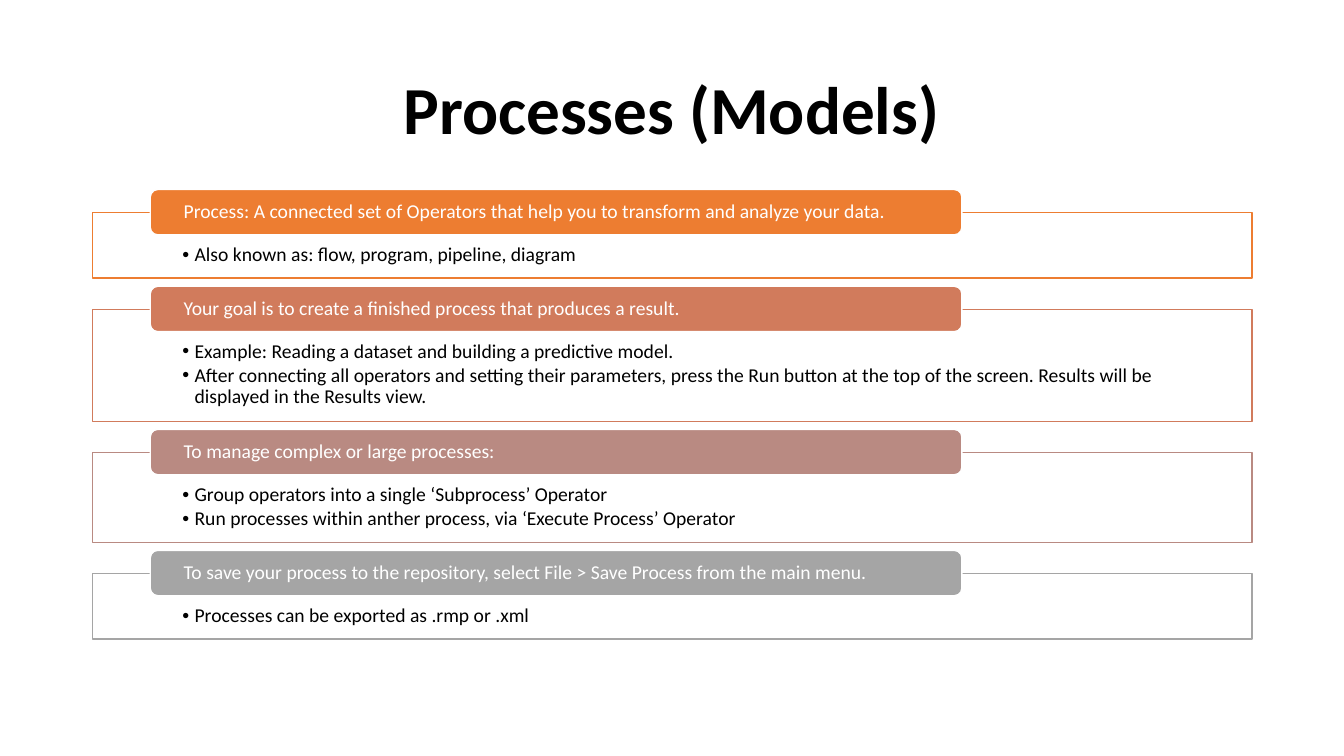
from lxml import etree
from pptx import Presentation
from pptx.dml.color import RGBColor
from pptx.enum.shapes import MSO_SHAPE as Shape
from pptx.enum.text import MSO_ANCHOR as Anchor, MSO_AUTO_SIZE as AutoSize, PP_ALIGN as Align
from pptx.oxml.ns import qn
from pptx.util import Pt

PX = 9144  # one hundredth of an inch
FONT = "Calibri"
COLORS = {
    "black": "000000",
    "white": "FFFFFF",
    "orange": "ED7D31",
    "terracotta": "D17B5C",
    "rose": "B98A82",
    "gray": "A5A5A5",
}

# Accent, heading, bullets, frame height
SECTIONS = [
    ("orange",
     "Process: A connected set of Operators that help you to transform and analyze your data.",
     ["Also known as: flow, program, pipeline, diagram"], 65),
    ("terracotta",
     "Your goal is to create a finished process that produces a result.",
     ["Example: Reading a dataset and building a predictive model.",
      "After connecting all operators and setting their parameters, press the Run button "
      "at the top of the screen. Results will be displayed in the Results view."], 111),
    ("rose",
     "To manage complex or large processes:",
     ["Group operators into a single ‘Subprocess’ Operator",
      "Run processes within anther process, via ‘Execute Process’ Operator"], 89),
    ("gray",
     "To save your process to the repository, select File > Save Process from the main menu.",
     ["Processes can be exported as .rmp or .xml"], 65),
]
FRAME_GAP = 31


def color(name):
    return RGBColor.from_string(COLORS[name])


def place(shape, left, top, width, height):
    shape.left, shape.top = left * PX, top * PX
    shape.width, shape.height = width * PX, height * PX


def write(shape, lines, size=14, ink="black", bold=False, align=Align.LEFT,
          anchor=Anchor.MIDDLE, insets=(10, 5, 10, 5), bullet=False):
    frame = shape.text_frame
    frame.word_wrap = True
    frame.auto_size = AutoSize.NONE
    frame.vertical_anchor = anchor
    (frame.margin_left, frame.margin_top,
     frame.margin_right, frame.margin_bottom) = [inset * PX for inset in insets]
    for index, line in enumerate(lines):
        paragraph = frame.add_paragraph() if index else frame.paragraphs[0]
        paragraph.alignment = align
        paragraph.line_spacing = 0.9
        paragraph.space_before = Pt(2 if index else 0)
        if bullet:
            paragraph.level = 1
            properties = paragraph._p.get_or_add_pPr()
            properties.set("marL", str(12 * PX))
            properties.set("indent", str(-12 * PX))
            etree.SubElement(properties, qn("a:buFont"), typeface="Arial")
            etree.SubElement(properties, qn("a:buChar"), char="•")
        run = paragraph.add_run()
        run.text = line
        run.font.name = FONT
        run.font.size = Pt(size)
        run.font.bold = bold
        run.font.color.rgb = color(ink)


def add_box(slide, kind, box, fill, line):
    shape = slide.shapes.add_shape(kind, *[length * PX for length in box])
    shape.shadow.inherit = False
    shape.fill.solid()
    shape.fill.fore_color.rgb = color(fill)
    shape.line.color.rgb = color(line)
    shape.line.width = Pt(1)
    return shape


def add_title(slide, text, box):
    title = slide.shapes.title
    place(title, *box)
    write(title, [text], size=48, bold=True, align=Align.CENTER)


def add_section(slide, accent, heading, bullets, box):
    left, top, width, height = box
    # Outlined frame with its bullets
    frame = add_box(slide, Shape.RECTANGLE, box, "white", accent)
    fill_color = frame._element.spPr.find(qn("a:solidFill"))[0]
    etree.SubElement(fill_color, qn("a:alpha"), val="90000")
    write(frame, bullets, anchor=Anchor.TOP, insets=(89, 32, 89, 11), bullet=True)
    # Heading label across the frame's top edge
    label = add_box(slide, Shape.ROUNDED_RECTANGLE,
                    (left + 57, top - 23, width * 7 // 10, 45), accent, "white")
    write(label, [heading], ink="white", insets=(31, 0, 31, 0))


def main():
    presentation = Presentation()
    presentation.slide_width, presentation.slide_height = 1333 * PX, 750 * PX
    slide = presentation.slides.add_slide(presentation.slide_layouts[5])
    add_title(slide, "Processes (Models)", (91, 50, 1150, 124))

    # Sections stacked with an equal gap
    top = 211
    for accent, heading, bullets, height in SECTIONS:
        add_section(slide, accent, heading, bullets, (92, top, 1150, height))
        top += height + FRAME_GAP
    presentation.save("out.pptx")


if __name__ == "__main__":
    main()
